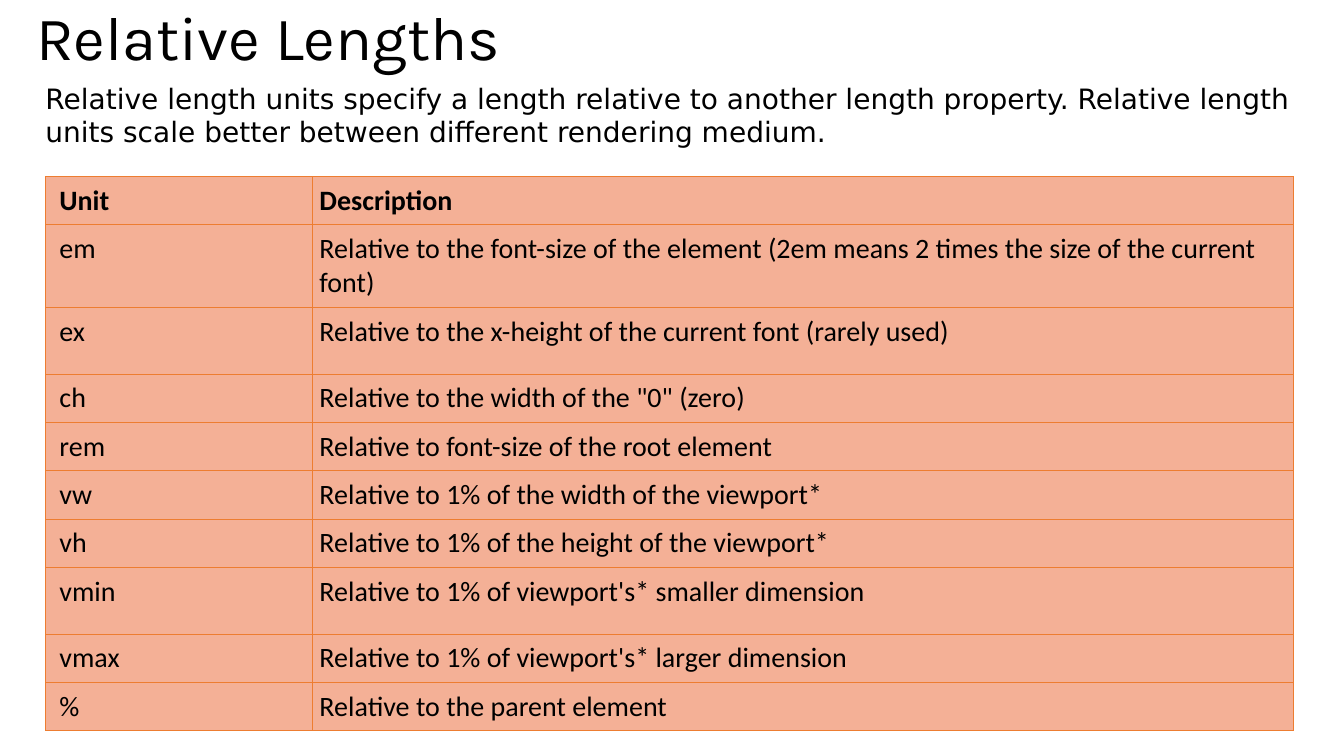
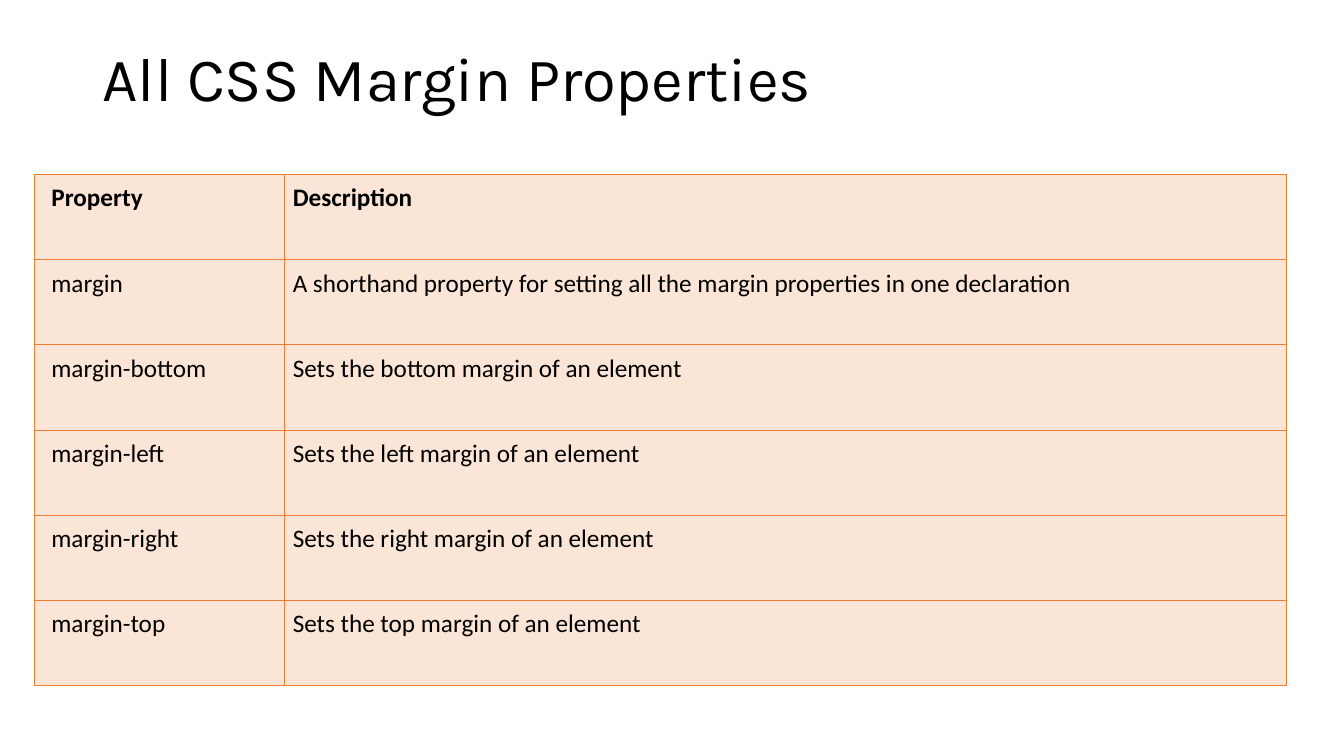
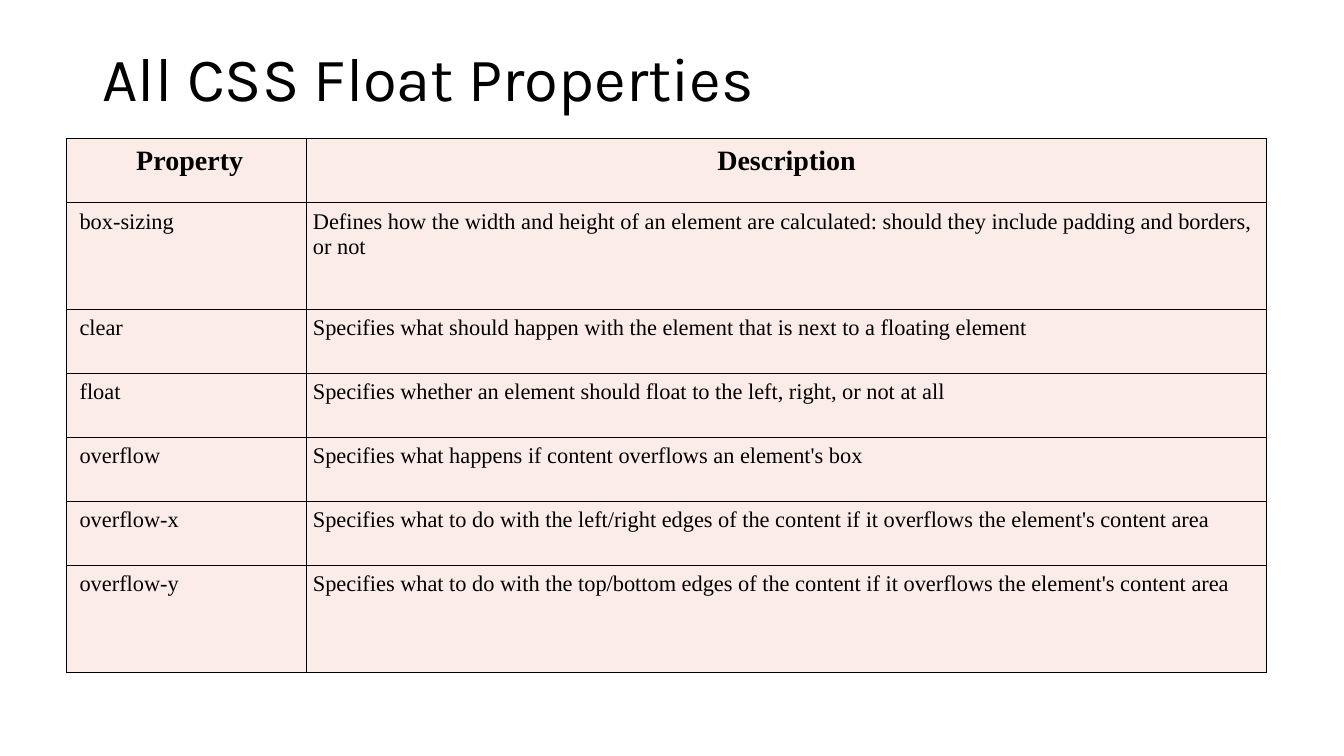
import dataclasses
import typing

import lxml.etree
import pptx
import pptx.dml.color
import pptx.enum.text
import pptx.oxml.ns
import pptx.slide
import pptx.text.text
import pptx.util

PX = 4572  # EMU in one px, 200 px to the inch


@dataclasses.dataclass(frozen=True)
class Theme:
    ink: str = "000000"
    edge: str = "ED7D31"
    coral: str = "F4B096"
    peach: str = "FBE5D6"
    blush: str = "FCECE8"
    title: str = "Karla"
    lead: str = "DejaVu Sans"
    sans: str = "Calibri"
    serif: str = "Times New Roman"
    huge: int = 44
    large: int = 20
    mid: int = 18
    small: int = 16


THEME = Theme()


class Box(typing.NamedTuple):
    left: int
    top: int
    width: int
    height: int


class Look(typing.NamedTuple):
    fill: str
    edge: str
    line: float
    font: str
    head: int
    body: int
    pad: int
    align: pptx.enum.text.PP_ALIGN


@dataclasses.dataclass(frozen=True)
class Grid:
    left: int
    top: int
    cols: tuple[int, ...]
    rows: tuple[int, ...]
    look: Look
    cells: tuple[tuple[str, str], ...]


@dataclasses.dataclass(frozen=True)
class Page:
    title: str
    place: Box
    grid: Grid
    lead: str = ""


TITLE = Box(184, 80, 2300, 290)
LEAD = Box(90, 144, 2476, 168)
LEFT = pptx.enum.text.PP_ALIGN.LEFT
CENTER = pptx.enum.text.PP_ALIGN.CENTER
TOP = pptx.enum.text.MSO_ANCHOR.TOP
MIDDLE = pptx.enum.text.MSO_ANCHOR.MIDDLE

UNITS = Grid(
    90, 350, (530, 1946), (96, 164, 132, 96, 96, 96, 96, 132, 96, 96),
    Look(THEME.coral, THEME.edge, 0.5, THEME.sans, THEME.large, THEME.large, 14, LEFT),
    (
        ("Unit", "Description"),
        ("em", "Relative to the font-size of the element "
               "(2em means 2 times the size of the current font)"),
        ("ex", "Relative to the x-height of the current font (rarely used)"),
        ("ch", 'Relative to the width of the "0" (zero)'),
        ("rem", "Relative to font-size of the root element"),
        ("vw", "Relative to 1% of the width of the viewport*"),
        ("vh", "Relative to 1% of the height of the viewport*"),
        ("vmin", "Relative to 1% of viewport's* smaller dimension"),
        ("vmax", "Relative to 1% of viewport's* larger dimension"),
        ("%", "Relative to the parent element"),
    ),
)

MARGINS = Grid(
    68, 346, (496, 1988), (169,) * 6,
    Look(THEME.peach, THEME.edge, 0.5, THEME.sans, THEME.mid, THEME.mid, 17, LEFT),
    (
        ("Property", "Description"),
        ("margin", "A shorthand property for setting all the margin "
                   "properties in one declaration"),
        *((f"margin-{side}", f"Sets the {side} margin of an element")
          for side in ("bottom", "left", "right", "top")),
    ),
)

FLOATS = Grid(
    132, 275, (476, 1906), (127, 212, 127, 127, 127, 127, 212),
    Look(THEME.blush, THEME.ink, 1, THEME.serif, THEME.large, THEME.small, 13, CENTER),
    (
        ("Property", "Description"),
        ("box-sizing", "Defines how the width and height of an element are calculated: "
                       "should they include padding and borders, or not"),
        ("clear", "Specifies what should happen with the element "
                  "that is next to a floating element"),
        ("float", "Specifies whether an element should float to the left, right, "
                  "or not at all"),
        ("overflow", "Specifies what happens if content overflows an element's box"),
        *((f"overflow-{axis}", f"Specifies what to do with the {ends} edges of the content "
                               "if it overflows the element's content area")
          for axis, ends in (("x", "left/right"), ("y", "top/bottom"))),
    ),
)

PAGES = (
    Page("Relative Lengths", Box(52, 0, 2300, 290), UNITS,
         "Relative length units specify a length relative to another length property. "
         "Relative length units scale better between different rendering medium."),
    Page("All CSS Margin Properties", TITLE, MARGINS),
    Page("All CSS Float Properties", TITLE, FLOATS),
)


def put_run(para: pptx.text.text._Paragraph, text: str, font: str,
            size: int, bold: bool = False) -> None:
    run = para.add_run()
    run.text = text
    run.font.name = font
    run.font.size = pptx.util.Pt(size)
    run.font.bold = bold
    run.font.color.rgb = pptx.dml.color.RGBColor.from_string(THEME.ink)


def put_text(slide: pptx.slide.Slide, box: Box, text: str, font: str, size: int,
             side: int, pad: int, anchor: pptx.enum.text.MSO_ANCHOR,
             space: float = 1.0) -> None:
    frame = slide.shapes.add_textbox(*(n * PX for n in box)).text_frame
    frame.word_wrap = True
    frame.vertical_anchor = anchor
    frame.margin_left = frame.margin_right = side * PX
    frame.margin_top = frame.margin_bottom = pad * PX
    para = frame.paragraphs[0]
    para.line_spacing = space
    put_run(para, text, font, size)


def put_edge(cell: typing.Any, tint: str, width: float) -> None:
    props = cell._tc.get_or_add_tcPr()
    name = pptx.oxml.ns.qn
    for side in "LRTB":
        line = lxml.etree.SubElement(props, name(f"a:ln{side}"), w=str(pptx.util.Pt(width)))
        fill = lxml.etree.SubElement(line, name("a:solidFill"))
        lxml.etree.SubElement(fill, name("a:srgbClr"), val=tint)


def put_grid(slide: pptx.slide.Slide, grid: Grid) -> None:
    look = grid.look
    box = Box(grid.left, grid.top, sum(grid.cols), sum(grid.rows))
    table = slide.shapes.add_table(
        len(grid.rows), len(grid.cols), *(n * PX for n in box)).table
    table.first_row = table.horz_banding = False
    for col, width in zip(table.columns, grid.cols):
        col.width = width * PX
    for row, height in zip(table.rows, grid.rows):
        row.height = height * PX
    for r, texts in enumerate(grid.cells):
        head = r == 0
        for c, text in enumerate(texts):
            cell = table.cell(r, c)
            # The first column has a double left margin
            cell.margin_left = look.pad * (2 if c == 0 else 1) * PX
            cell.margin_right = cell.margin_top = cell.margin_bottom = look.pad * PX
            put_edge(cell, look.edge, look.line)
            cell.fill.solid()
            cell.fill.fore_color.rgb = pptx.dml.color.RGBColor.from_string(look.fill)
            para = cell.text_frame.paragraphs[0]
            para.alignment = look.align if head else LEFT
            put_run(para, text, look.font, look.head if head else look.body, head)


def main() -> None:
    deck = pptx.Presentation()
    deck.slide_width, deck.slide_height = 2667 * PX, 1500 * PX
    for page in PAGES:
        slide = deck.slides.add_slide(deck.slide_layouts[6])
        # Title
        put_text(slide, page.place, page.title, THEME.title, THEME.huge, 20, 15, TOP, 0.9)
        # Table
        put_grid(slide, page.grid)
        # Lead text
        if page.lead:
            put_text(slide, LEAD, page.lead, THEME.lead, THEME.large, 0, 16, MIDDLE)
    deck.save("out.pptx")


if __name__ == "__main__":
    main()
